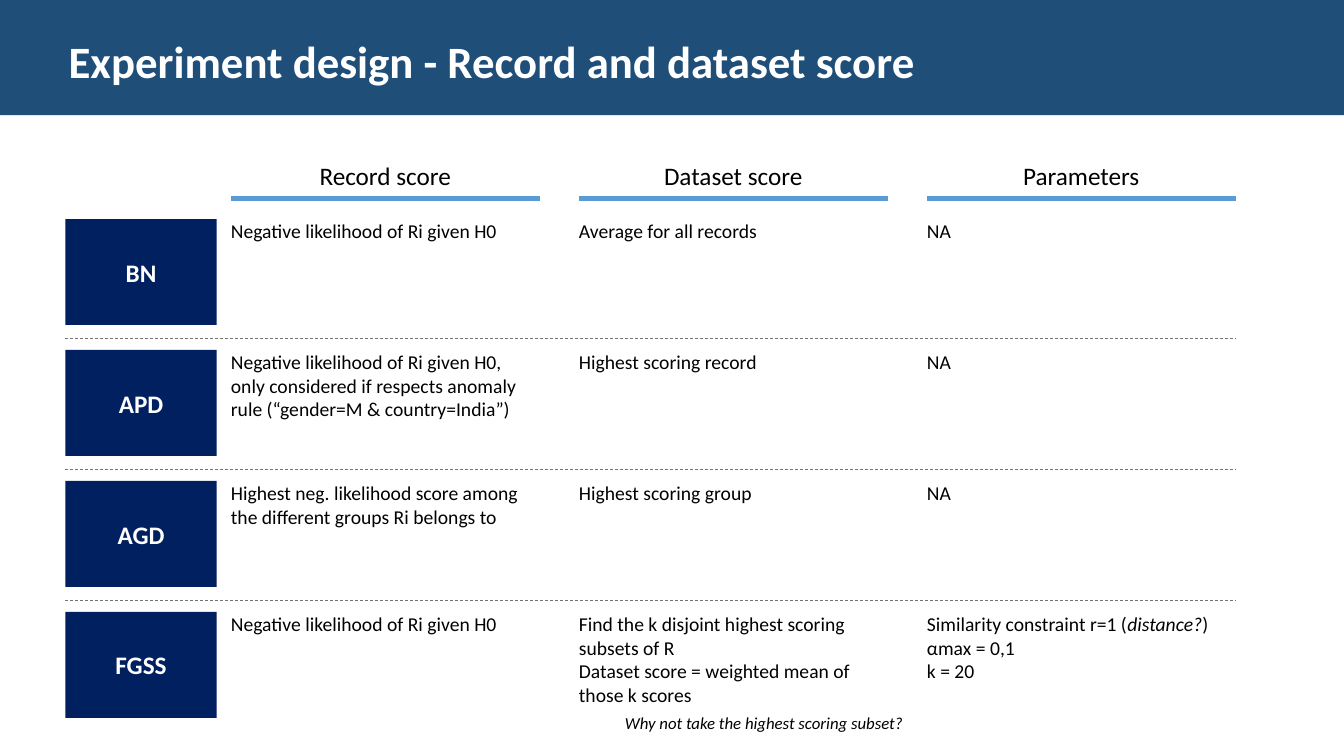
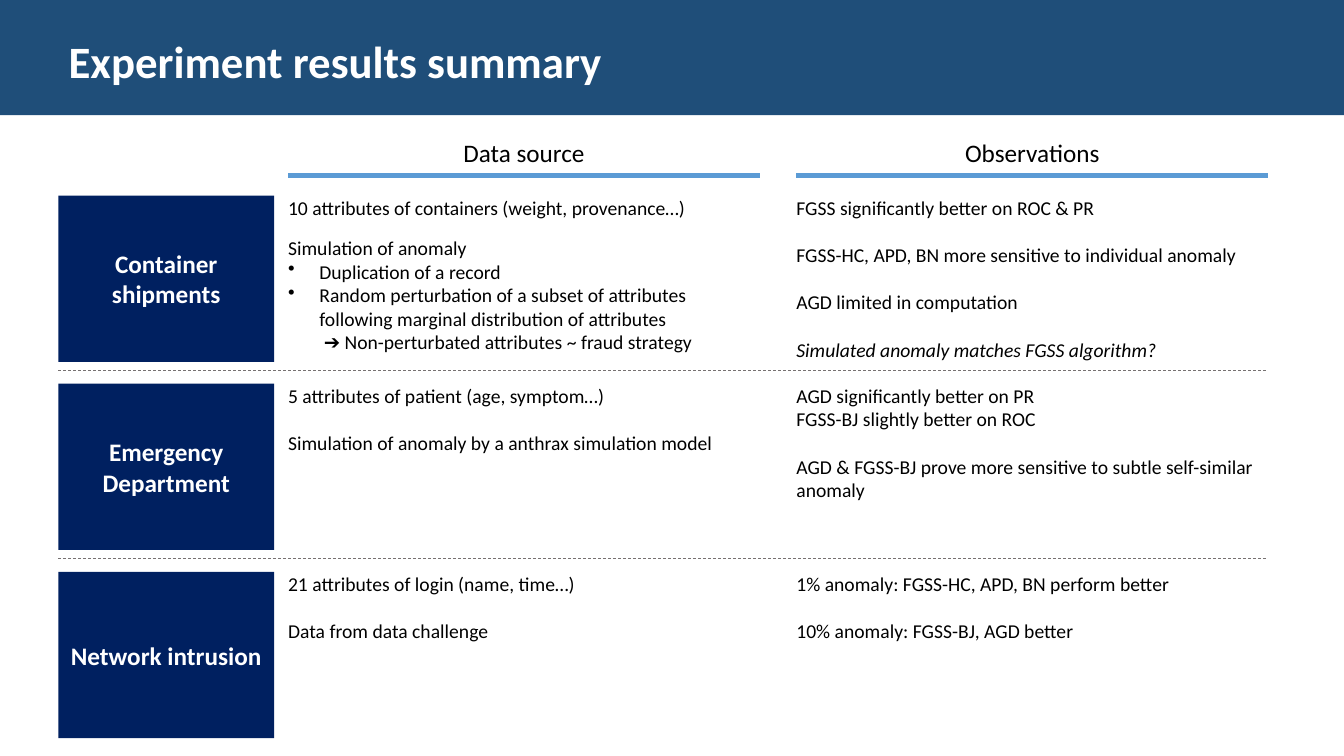
from dataclasses import dataclass

from lxml.etree import SubElement
from pptx import Presentation
from pptx.dml.color import RGBColor as RGB
from pptx.enum.dml import MSO_LINE
from pptx.enum.shapes import MSO_CONNECTOR as Link, MSO_SHAPE as Preset
from pptx.enum.text import MSO_ANCHOR as Anchor, MSO_AUTO_SIZE as AutoSize, PP_ALIGN as Align
from pptx.oxml.ns import qn
from pptx.util import Cm, Pt


@dataclass(frozen=True)
class Theme:
    font: str = "Calibri"
    band: RGB = RGB(0x1F, 0x4E, 0x79)
    label: RGB = RGB(0x00, 0x20, 0x60)
    accent: RGB = RGB(0x5B, 0x9B, 0xD5)
    divider: RGB = RGB(0x76, 0x71, 0x71)
    light: RGB = RGB(0xFF, 0xFF, 0xFF)
    dark: RGB = RGB(0x00, 0x00, 0x00)
    title_size: int = 32
    heading_size: int = 18
    body_size: int = 14
    note_size: int = 12


@dataclass(frozen=True)
class Line:
    wording: tuple
    gap: float = 0
    indent: float = 0
    bullet: bool = False
    italic: bool = False


@dataclass(frozen=True)
class Grid:
    label_left: float
    label_width: float
    label_height: float
    row_top: float
    row_pitch: float
    divider_drop: float
    column_left: float
    column_width: float
    column_pitch: float
    heading_top: float
    rule_y: float
    heading_height: float = 1.12

    def column(self, index):
        return self.column_left + index * self.column_pitch

    def row(self, index):
        return self.row_top + index * self.row_pitch


class Deck:
    def __init__(self, theme):
        self.theme = theme
        self.presentation = Presentation()
        self.presentation.slide_width = Cm(33.87)
        self.presentation.slide_height = Cm(19.05)
        self.slide = None

    def style(self, paragraph, size, color, bold=False, italic=False):
        font = paragraph.font
        font.name = self.theme.font
        font.size = Pt(size)
        font.bold = bold
        font.italic = italic
        font.color.rgb = color

    def start(self, heading):
        self.slide = self.presentation.slides.add_slide(self.presentation.slide_layouts[5])
        title = self.slide.shapes.title
        title.left, title.top, title.width, title.height = Cm(0), Cm(0), Cm(33.87), Cm(2.9)
        title.fill.solid()
        title.fill.fore_color.rgb = self.theme.band
        frame = title.text_frame
        frame.text = heading
        frame.auto_size = AutoSize.NONE
        frame.vertical_anchor = Anchor.MIDDLE
        frame.margin_left, frame.margin_top, frame.margin_bottom = Cm(1.73), Cm(0.25), Cm(0.1)
        paragraph = frame.paragraphs[0]
        paragraph.alignment = Align.LEFT
        self.style(paragraph, self.theme.title_size, self.theme.light, bold=True)

    def label(self, text, left, top, width, height):
        box = self.slide.shapes.add_shape(Preset.RECTANGLE, Cm(left), Cm(top), Cm(width), Cm(height))
        box.shadow.inherit = False
        box.fill.solid()
        box.fill.fore_color.rgb = self.theme.label
        box.line.fill.background()
        frame = box.text_frame
        frame.text = text
        frame.word_wrap = True
        frame.vertical_anchor = Anchor.MIDDLE
        paragraph = frame.paragraphs[0]
        paragraph.alignment = Align.CENTER
        self.style(paragraph, self.theme.heading_size, self.theme.light, bold=True)

    def text(self, lines, left, top, width, height, size, align=Align.LEFT, anchor=Anchor.TOP):
        frame = self.slide.shapes.add_textbox(Cm(left), Cm(top), Cm(width), Cm(height)).text_frame
        frame.word_wrap = True
        frame.vertical_anchor = anchor
        frame.margin_left = frame.margin_right = frame.margin_top = frame.margin_bottom = 0
        for index, line in enumerate(lines):
            paragraph = frame.add_paragraph() if index else frame.paragraphs[0]
            paragraph.alignment = align
            paragraph.space_before = Pt(line.gap)
            self.style(paragraph, size, self.theme.dark, italic=line.italic)
            self.indent(paragraph, line)
            for position, words in enumerate(line.wording):
                run = paragraph.add_run()
                run.text = words
                if len(line.wording) > 1:
                    run.font.italic = position % 2 == 1

    def indent(self, paragraph, line):
        properties = paragraph.font._element.getparent()
        properties.set("marL", str(Cm(line.indent)))
        properties.set("indent", str(-Cm(line.indent) if line.bullet else 0))
        if line.bullet:
            mark = SubElement(properties, qn("a:buChar"), char="•")
            properties.find(qn("a:defRPr")).addprevious(mark)

    def rule(self, left, right, y, color, weight, dash=None):
        rule = self.slide.shapes.add_connector(Link.STRAIGHT, Cm(left), Cm(y), Cm(right), Cm(y))
        rule.line.color.rgb = color
        rule.line.width = Pt(weight)
        if dash:
            rule.line.dash_style = dash
        SubElement(rule._element.spPr, qn("a:effectLst"))

    def matrix(self, grid, headings, rows):
        theme = self.theme
        right = grid.column(len(headings) - 1) + grid.column_width
        for index, heading in enumerate(headings):
            left = grid.column(index)
            self.text([Line((heading,))], left, grid.heading_top, grid.column_width,
                      grid.heading_height, theme.heading_size, Align.CENTER, Anchor.MIDDLE)
            self.rule(left, left + grid.column_width, grid.rule_y, theme.accent, 3)
        for index, (name, cells) in enumerate(rows):
            top = grid.row(index)
            self.label(name, grid.label_left, top, grid.label_width, grid.label_height)
            for column, lines in enumerate(cells):
                self.text(lines, grid.column(column), top, grid.column_width,
                          grid.label_height, theme.body_size)
            if index < len(rows) - 1:
                self.rule(grid.label_left, right, top + grid.divider_drop,
                          theme.divider, 0.5, MSO_LINE.DASH)

    def note(self, text, left, top, width, height):
        self.text([Line((text,), italic=True)], left, top, width, height, self.theme.note_size)


def plain(*texts, gap=0):
    return [Line((text,), gap=gap if index else 0) for index, text in enumerate(texts)]


FULL_LINE = 17

SCORE_GRID = Grid(
    label_left=1.65, label_width=3.81, label_height=2.67, row_top=5.52, row_pitch=3.3,
    divider_drop=3, column_left=5.82, column_width=7.78, column_pitch=8.77,
    heading_top=3.86, rule_y=5)

RESULT_GRID = Grid(
    label_left=1.47, label_width=5.44, label_height=4.19, row_top=4.93, row_pitch=4.74,
    divider_drop=4.4, column_left=7.26, column_width=11.89, column_pitch=12.81,
    heading_top=3.28, rule_y=4.42)

SCORE_ROWS = [
    ("BN", [
        plain("Negative likelihood of Ri given H0"),
        plain("Average for all records"),
        plain("NA"),
    ]),
    ("APD", [
        plain("Negative likelihood of Ri given H0, only considered if respects anomaly rule "
              "(“gender=M & country=India”)"),
        plain("Highest scoring record"),
        plain("NA"),
    ]),
    ("AGD", [
        plain("Highest neg. likelihood score among the different groups Ri belongs to"),
        plain("Highest scoring group"),
        plain("NA"),
    ]),
    ("FGSS", [
        plain("Negative likelihood of Ri given H0"),
        plain("Find the k disjoint highest scoring subsets of R",
              "Dataset score = weighted mean of those k scores"),
        [Line(("Similarity constraint r=1 (", "distance?", ")")),
         *plain("αmax = 0,1", "k = 20")],
    ]),
]

RESULT_ROWS = [
    ("Container shipments", [
        [Line(("10 attributes of containers (weight, provenance…)",)),
         Line(("Simulation of anomaly",), gap=12),
         Line(("Duplication of a record",), indent=0.79, bullet=True),
         Line(("Random perturbation of a subset of attributes following marginal "
               "distribution of attributes",), indent=0.79, bullet=True),
         Line(("➔ Non-perturbated attributes ~ fraud strategy",), indent=0.9)],
        [*plain("FGSS significantly better on ROC & PR",
                "FGSS-HC, APD, BN more sensitive to individual anomaly",
                "AGD limited in computation", gap=FULL_LINE),
         Line(("Simulated anomaly matches FGSS algorithm?",), gap=FULL_LINE, italic=True)],
    ]),
    ("Emergency Department", [
        plain("5 attributes of patient (age, symptom…)",
              "Simulation of anomaly by a anthrax simulation model", gap=FULL_LINE),
        [*plain("AGD significantly better on PR", "FGSS-BJ slightly better on ROC"),
         Line(("AGD & FGSS-BJ prove more sensitive to subtle self-similar anomaly",),
              gap=FULL_LINE)],
    ]),
    ("Network intrusion", [
        plain("21 attributes of login (name, time…)", "Data from data challenge", gap=FULL_LINE),
        plain("1% anomaly: FGSS-HC, APD, BN perform better",
              "10% anomaly: FGSS-BJ, AGD better", gap=FULL_LINE),
    ]),
]


def main():
    deck = Deck(Theme())
    deck.start("Experiment design - Record and dataset score")
    deck.matrix(SCORE_GRID, ["Record score", "Dataset score", "Parameters"], SCORE_ROWS)
    deck.note("Why not take the highest scoring subset?", 15.75, 17.96, 7.34, 0.51)
    deck.start("Experiment results summary")
    deck.matrix(RESULT_GRID, ["Data source", "Observations"], RESULT_ROWS)
    deck.presentation.save("out.pptx")


if __name__ == "__main__":
    main()
